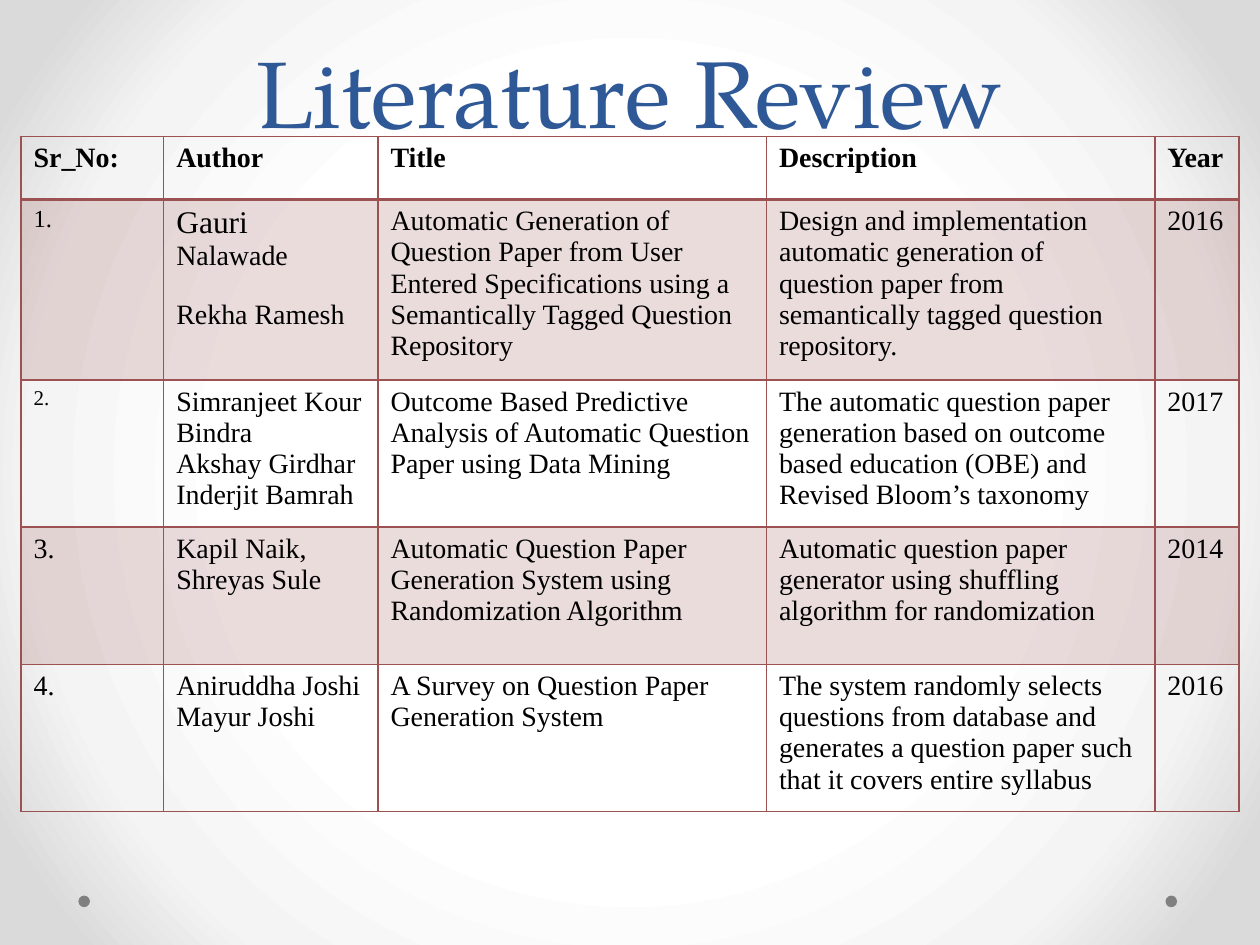
import pptx
import pptx.dml.color
import pptx.enum.shapes
import pptx.enum.text
import pptx.oxml
import pptx.oxml.ns
import pptx.util

Pt = pptx.util.Pt
RGB = pptx.dml.color.RGBColor
ALIGN = pptx.enum.text.PP_ALIGN
ANCHOR = pptx.enum.text.MSO_ANCHOR
qn = pptx.oxml.ns.qn

BLUE = RGB(0x2F, 0x58, 0x97)
RED = RGB(0x9C, 0x52, 0x52)
BLACK = RGB(0, 0, 0)
GRAY = RGB(0x80, 0x80, 0x80)
WHITE = RGB(0xFF, 0xFF, 0xFF)
PALE = RGB(0xF4, 0xF4, 0xF4)
EDGE = RGB(0xDA, 0xDA, 0xDA)

HEAD = {"name": "TeX Gyre Pagella", "size": Pt(54)}
BODY = {"name": "Times New Roman", "size": Pt(16), "bold": False}


def apply(item, form):
    """Set each format value on an item."""
    for key, value in form.items():
        setattr(item, key, value)


def node(text):
    """Make a drawing element from short XML."""
    space = pptx.oxml.ns.nsdecls("a")
    return pptx.oxml.parse_xml(text.replace(">", f" {space}>", 1))


class Board:
    """Holds the style and the current slide."""

    def __init__(self, deck):
        """Add a blank slide."""
        self.slide = deck.slides.add_slide(deck.slide_layouts[6])
        self.shapes = self.slide.shapes

    def glow(self, stops):
        """Fill the background with a radial gradient."""
        self.slide.background.fill.gradient()
        grad = self.slide.element.find(".//" + qn("a:gradFill"))
        for child in list(grad):
            grad.remove(child)
        marks = "".join(f'<a:gs pos="{spot * 1000}"><a:srgbClr val="{color}"/></a:gs>'
                        for spot, color in stops)
        grad.append(node(f"<a:gsLst>{marks}</a:gsLst>"))
        grad.append(node('<a:path path="circle"><a:fillToRect l="50000" t="50000" '
                         'r="50000" b="50000"/></a:path>'))

    def dot(self, left, top, size):
        """Draw a plain round dot."""
        kind = pptx.enum.shapes.MSO_SHAPE.OVAL
        dot = self.shapes.add_shape(kind, Pt(left), Pt(top), Pt(size), Pt(size))
        dot.shadow.inherit = False
        dot.fill.solid()
        dot.fill.fore_color.rgb = GRAY
        dot.line.fill.background()

    def text(self, para, words, form, color):
        """Add one run of text."""
        run = para.add_run()
        run.text = words
        apply(run.font, form)
        run.font.color.rgb = color

    def title(self, words, left, top, width, height):
        """Add the centred title."""
        box = self.shapes.add_textbox(Pt(left), Pt(top), Pt(width), Pt(height))
        frame = box.text_frame
        apply(frame, {"word_wrap": True, "vertical_anchor": ANCHOR.BOTTOM,
                      "margin_bottom": Pt(0)})
        para = frame.paragraphs[0]
        apply(para, {"alignment": ALIGN.CENTER, "line_spacing": Pt(58)})
        self.text(para, words, HEAD, BLUE)

    def edge(self, cell, widths):
        """Draw the four borders of a cell."""
        props = cell._tc.get_or_add_tcPr()
        for spot, (side, width) in enumerate(widths.items()):
            props.insert(spot, node(
                f'<a:ln{side} w="{int(Pt(width))}"><a:solidFill><a:srgbClr val="{RED}"/>'
                f'</a:solidFill></a:ln{side}>'))

    def tint(self, cell, share):
        """Fill a cell with see-through red."""
        cell.fill.solid()
        cell.fill.fore_color.rgb = RED
        color = cell._tc.tcPr.find(".//" + qn("a:srgbClr"))
        color.append(node(f'<a:alpha val="{share * 1000}"/>'.replace("/>", "></a:alpha>")))

    def fill(self, cell, lines, bold):
        """Add lines, each a text or a list of text and size pairs."""
        frame = cell.text_frame
        for spot, line in enumerate(lines):
            para = frame.add_paragraph() if spot else frame.paragraphs[0]
            runs = [(line, 16)] if isinstance(line, str) else line
            for words, size in runs:
                form = {**BODY, "size": Pt(size), "bold": bold}
                self.text(para, words, form, BLACK)

    def table(self, rows, left, top, widths, heights):
        """Build a ruled table with tinted odd rows."""
        frame = self.shapes.add_table(len(rows), len(widths), Pt(left), Pt(top),
                                      Pt(sum(widths)), Pt(sum(heights)))
        grid = frame.table
        apply(grid, {"first_row": False, "horz_banding": False})
        for col, width in zip(grid.columns, widths):
            col.width = Pt(width)
        for row, height in zip(grid.rows, heights):
            row.height = Pt(height)
        for r, row in enumerate(rows):
            for c, lines in enumerate(row):
                cell = grid.cell(r, c)
                self.fill(cell, lines, r == 0)
                if r % 2:
                    self.tint(cell, 20)
                else:
                    cell.fill.background()
                self.edge(cell, {"L": 1, "R": 1, "T": 2 if r == 1 else 1,
                                 "B": 2 if r == 0 else 1})
        return grid


ROWS = [
    [["Sr_No:"], ["Author"], ["Title"], ["Description"], ["Year"]],
    [[[("1.", 14)]],
     [[("Gauri ", 18), ("Nalawade", 16)], "Rekha Ramesh"],
     ["Automatic Generation of Question Paper from User Entered Specifications "
      "using a Semantically Tagged Question Repository"],
     ["Design and implementation automatic generation of question paper from "
      "semantically tagged question repository."],
     ["2016"]],
    [[[("2.", 12)]],
     ["Simranjeet Kour Bindra", "Akshay Girdhar", "Inderjit Bamrah"],
     ["Outcome Based Predictive Analysis of Automatic Question Paper using "
      "Data Mining"],
     ["The automatic question paper generation based on outcome based education "
      "(OBE) and Revised Bloom\u2019s taxonomy"],
     ["2017"]],
    [["3."],
     ["Kapil Naik, Shreyas Sule"],
     ["Automatic Question Paper Generation System using Randomization Algorithm"],
     ["Automatic question paper generator using shuffling algorithm for "
      "randomization"],
     ["2014"]],
    [["4."],
     ["Aniruddha Joshi", "Mayur Joshi"],
     ["A Survey on Question Paper Generation System"],
     ["The system randomly selects questions from database and generates a "
      "question paper such that it covers entire syllabus"],
     ["2016"]],
]

deck = pptx.Presentation()
apply(deck, {"slide_width": Pt(720), "slide_height": Pt(540)})
board = Board(deck)
board.glow([(50, WHITE), (76, PALE), (92, EDGE)])
for left in (666, 44.8):
    board.dot(left, 511.8, 6.6)
board.title("Literature Review", 36, 12, 648, 72)
grid = board.table(ROWS, 12, 78, [81.6, 122.4, 222, 222, 48],
                   [36, 96, 78.5, 78.5, 78.5])
grid.cell(1, 1).text_frame.paragraphs[1].space_before = Pt(16)
deck.save("out.pptx")
